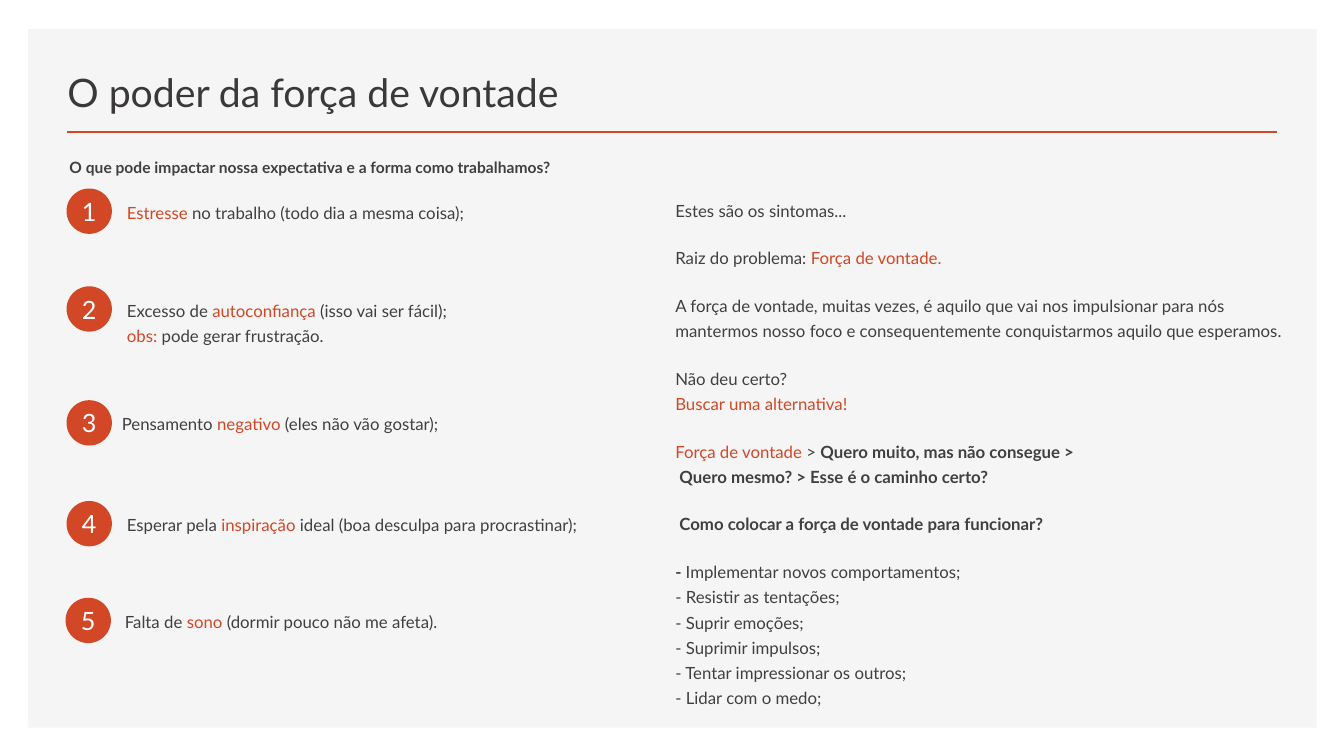
from pptx import Presentation, util as u
from pptx.dml.color import RGBColor
from pptx.enum import shapes, text
from pptx.oxml.ns import qn
from lxml import etree

COLORS = {"panel": "F5F5F5", "accent": "D24726", "title": "3B3838",
          "body": "404040", "white": "FFFFFF"}
FONT = "Lato"


class Deck:
    def __init__(self):
        self.prs = Presentation()
        self.prs.slide_width = u.Inches(13.33)
        self.prs.slide_height = u.Inches(7.5)
        self.slide = self.prs.slides.add_slide(self.prs.slide_layouts[6])

    def color(self, name):
        return RGBColor.from_string(COLORS[name])

    def shape(self, preset, box, fill):
        shape = self.slide.shapes.add_shape(preset, *map(u.Inches, box))
        shape.shadow.inherit = False
        shape.fill.solid()
        shape.fill.fore_color.rgb = self.color(fill)
        shape.line.fill.background()
        return shape

    def rule(self, left, right, y, color, width):
        line = self.slide.shapes.add_connector(
            shapes.MSO_CONNECTOR.STRAIGHT,
            *map(u.Inches, (left, y, right, y)))
        line.line.color.rgb = self.color(color)
        line.line.width = u.Pt(width)
        etree.SubElement(line._element.spPr, qn("a:effectLst"))

    def run(self, paragraph, words, size, color="body", bold=False):
        """Add words to the paragraph, turning each newline into a line break."""
        for i, part in enumerate(words.split("\n")):
            if i:
                paragraph.add_line_break()
            if part:
                run = paragraph.add_run()
                run.text = part
                run.font.name = FONT
                run.font.size = u.Pt(size)
                run.font.bold = bold
                run.font.color.rgb = self.color(color)

    def textbox(self, box):
        frame = self.slide.shapes.add_textbox(*map(u.Inches, box)).text_frame
        frame.word_wrap = True
        return frame

    def title(self, box, words):
        frame = self.textbox(box)
        frame.vertical_anchor = text.MSO_ANCHOR.BOTTOM
        self.run(frame.paragraphs[0], words, 28, "title")

    def body(self, box, paragraphs, size=12):
        """Write paragraphs, each a list of (words, color, bold) runs."""
        frame = self.textbox(box)
        for i, runs in enumerate(paragraphs):
            paragraph = frame.add_paragraph() if i else frame.paragraphs[0]
            paragraph.line_spacing = u.Pt(18)
            paragraph.space_before = u.Pt(10 if i else 0)
            paragraph.space_after = u.Pt(6)
            for words, *style in runs:
                self.run(paragraph, words, size, *style)

    def badge(self, left, top, number):
        circle = self.shape(shapes.MSO_SHAPE.OVAL, (left, top, 0.45, 0.45), "accent")
        frame = circle.text_frame
        frame.margin_left = frame.margin_right = 0
        frame.margin_top = frame.margin_bottom = 0
        frame.word_wrap = False
        frame.vertical_anchor = text.MSO_ANCHOR.MIDDLE
        frame.paragraphs[0].alignment = text.PP_ALIGN.CENTER
        self.run(frame.paragraphs[0], str(number), 18, "white")


# badge left, badge top, text left, runs
IMPACTS = [
    (0.66, 1.87, 1.16, [("Estresse", "accent"),
                        (" no trabalho (todo dia a mesma coisa);",)]),
    (0.66, 2.84, 1.16, [("Excesso de ",), ("autoconfiança", "accent"),
                        (" (isso vai ser fácil);\n",), ("obs: ", "accent"),
                        ("pode gerar frustração.",)]),
    (0.66, 3.97, 1.11, [("Pensamento ",), ("negativo", "accent"),
                        (" (eles não vão gostar);",)]),
    (0.66, 4.97, 1.16, [("Esperar pela ",), ("inspiração", "accent"),
                        (" ideal (boa desculpa para procrastinar);",)]),
    (0.65, 5.93, 1.14, [("Falta de ",), ("sono", "accent"),
                        (" (dormir pouco não me afeta).",)]),
]

WILLPOWER = [
    [("Estes são os sintomas...",)],
    [("Raiz do problema: ",), ("Força de vontade.", "accent")],
    [("A força de vontade, muitas vezes, é aquilo que vai nos impulsionar para nós \n"
      "mantermos nosso foco e consequentemente conquistarmos aquilo que esperamos.",)],
    [("Não deu certo? \n",), ("Buscar uma alternativa!", "accent")],
    [("Força de vontade ", "accent"), ("> ",),
     ("Quero muito, mas não consegue >\n Quero mesmo? > Esse é o caminho certo?",
      "body", True)],
    [(" Como colocar a força de vontade para funcionar?", "body", True)],
    [("- ", "body", True),
     ("Implementar novos comportamentos;\n- Resistir as tentações;\n"
      "- Suprir emoções; \n- Suprimir impulsos; \n"
      "- Tentar impressionar os outros; \n- Lidar com o medo;",)],
]


def main():
    deck = Deck()
    deck.shape(shapes.MSO_SHAPE.RECTANGLE, (0.28, 0.29, 12.78, 6.93), "panel")
    deck.rule(0.66, 12.67, 1.31, "accent", 2)
    deck.title((0.57, 0.49, 7.52, 0.7), "O poder da força de vontade")
    question = "O que pode impactar nossa expectativa e a forma como trabalhamos?"
    deck.body((0.59, 1.45, 5.59, 0.52), [[(question, "body", True)]], 11.1)
    for number, (left, top, text_left, runs) in enumerate(IMPACTS, 1):
        deck.badge(left, top, number)
        deck.body((text_left, top + 0.04, 4.95, 0.65), [runs])
    deck.body((6.6, 1.89, 6.54, 5.3), WILLPOWER)
    deck.prs.save("out.pptx")


if __name__ == "__main__":
    main()
